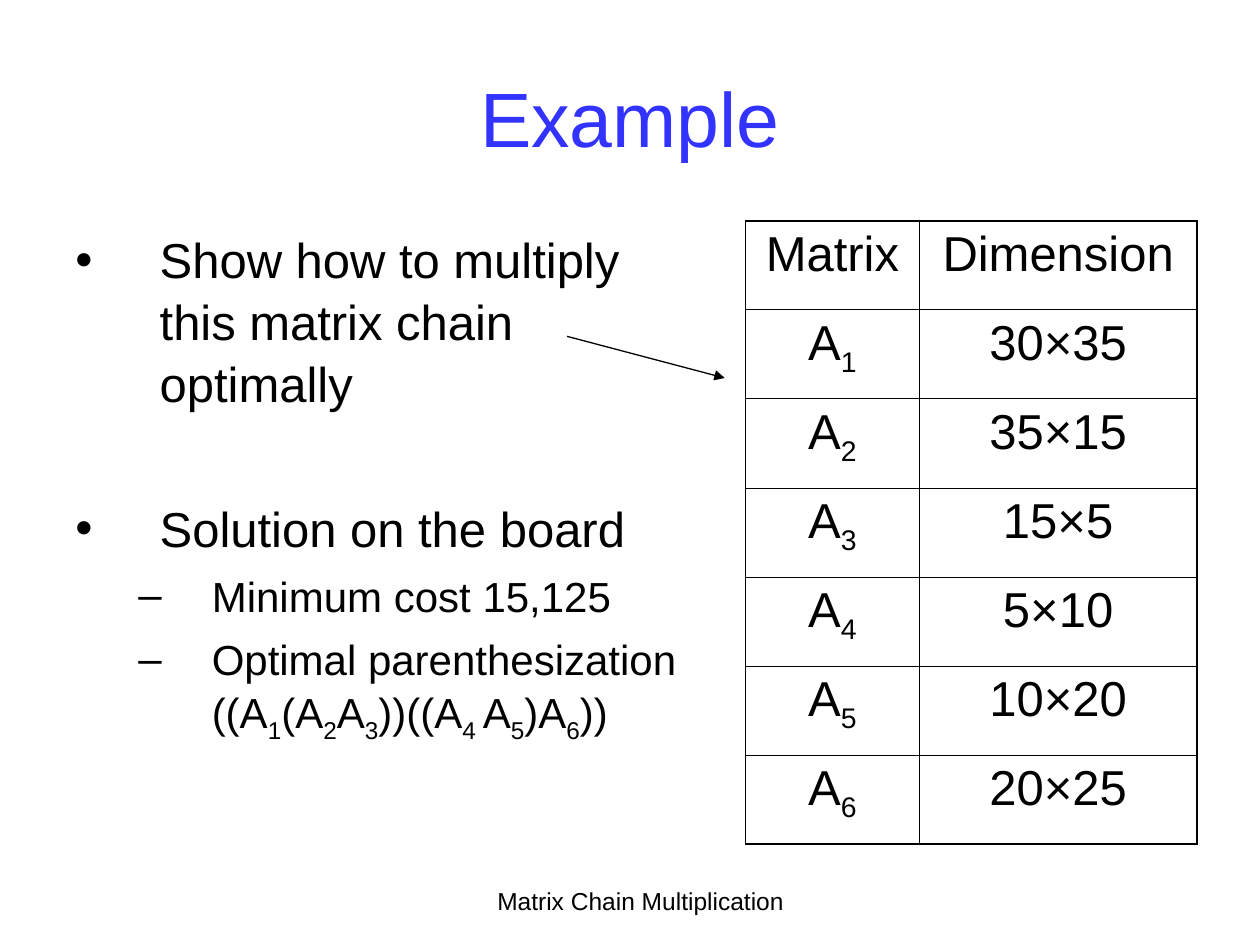
import pptx
import pptx.dml.color
import pptx.enum.shapes
import pptx.enum.text
import pptx.oxml
import pptx.oxml.ns
import pptx.util
from pptx.util import Cm, Pt

ANCHOR = pptx.enum.text.MSO_ANCHOR
ALIGN = pptx.enum.text.PP_ALIGN
BLACK = "000000"
BLUE = "3333FF"
DIMENSIONS = ["30×35", "35×15", "15×5", "5×10", "10×20", "20×25"]


def rgb(value):
    return pptx.dml.color.RGBColor.from_string(value)


def sub_element(parent, tag, **attributes):
    element = pptx.oxml.ns.qn(tag)
    child = parent.makeelement(element, attributes)
    parent.append(child)
    return child


def write(paragraph, text, size=28, color=BLACK, align=ALIGN.LEFT, before=0, spacing=None):
    """Fill a paragraph; every second part between bars is a subscript."""
    paragraph.alignment = align
    paragraph.space_before = Pt(before)
    if spacing:
        paragraph.line_spacing = spacing
    for index, part in enumerate(text.split("|")):
        if not part:
            continue
        run = paragraph.add_run()
        run.text = part
        run.font.size = Pt(size)
        run.font.name = "Arial"
        run.font.color.rgb = rgb(color)
        if index % 2:
            run.font._element.set("baseline", "-25000")


def set_bullet(paragraph, symbol, indent, hanging):
    properties = paragraph._p.get_or_add_pPr()
    properties.set("marL", str(Cm(indent)))
    properties.set("indent", str(-Cm(hanging)))
    bullet_color = sub_element(properties, "a:buClr")
    sub_element(bullet_color, "a:srgbClr", val=BLACK)
    sub_element(properties, "a:buFont", typeface="Arial")
    sub_element(properties, "a:buChar", char=symbol)


def add_text_frame(slide, left, top, width, height, anchor=ANCHOR.TOP):
    frame = slide.shapes.add_textbox(Cm(left), Cm(top), Cm(width), Cm(height)).text_frame
    frame.word_wrap = True
    frame.vertical_anchor = anchor
    return frame


def add_title(slide, left, top, width, height):
    frame = add_text_frame(slide, left, top, width, height, ANCHOR.MIDDLE)
    write(frame.paragraphs[0], "Example", size=44, color=BLUE, align=ALIGN.CENTER)


def add_footer(slide, left, top, width, height):
    frame = add_text_frame(slide, left, top, width, height)
    write(frame.paragraphs[0], "Matrix Chain Multiplication", size=14, align=ALIGN.CENTER)


def add_tasks(slide, left, top, width, height):
    frame = add_text_frame(slide, left, top, width, height)
    main = ("•", 1.7, 1.7, 28)
    detail = ("–", 2.75, 1.48, 24)
    tasks = [
        (main, 7, "Show how to multiply this matrix chain optimally"),
        (main, 47.5, "Solution on the board"),
        (detail, 6, "Minimum cost 15,125"),
        (detail, 6, "Optimal parenthesization ((A|1|(A|2|A|3|))((A|4 |A|5|)A|6|))"),
    ]
    for index, ((symbol, indent, hanging, size), before, text) in enumerate(tasks):
        paragraph = frame.add_paragraph() if index else frame.paragraphs[0]
        paragraph.level = int(size == 24)
        write(paragraph, text, size=size, before=before, spacing=1.05)
        set_bullet(paragraph, symbol, indent, hanging)


def set_borders(cell, outer_sides):
    properties = cell._tc.get_or_add_tcPr()
    for position, side in enumerate(["L", "R", "T", "B"]):
        width = Pt(1.08 if side in outer_sides else 0.45)
        border = pptx.oxml.parse_xml(
            f'<a:ln{side} {pptx.oxml.ns.nsdecls("a")} w="{width}"><a:solidFill>'
            f'<a:srgbClr val="{BLACK}"/></a:solidFill></a:ln{side}>')
        properties.insert(position, border)


def add_matrix_table(slide, left, top, width, height):
    rows = [("Matrix", "Dimension")]
    rows += [(f"A|{number}", size) for number, size in enumerate(DIMENSIONS, 1)]
    table = slide.shapes.add_table(
        len(rows), 2, Cm(left), Cm(top), Cm(width), Cm(height)).table
    table.first_row = table.horz_banding = False
    matrix_width = 3.5
    table.columns[0].width = Cm(matrix_width)
    table.columns[1].width = Cm(width - matrix_width)
    for row_index, row in enumerate(rows):
        table.rows[row_index].height = Cm(height / len(rows))
        for column_index, text in enumerate(row):
            cell = table.cell(row_index, column_index)
            cell.fill.background()
            write(cell.text_frame.paragraphs[0], text, align=ALIGN.CENTER, before=7)
            outer_sides = "LR"[column_index]
            if row_index == 0:
                outer_sides += "T"
            if row_index == len(rows) - 1:
                outer_sides += "B"
            set_borders(cell, outer_sides)


def add_arrow(slide, left, top, width, height):
    arrow = slide.shapes.add_connector(
        pptx.enum.shapes.MSO_CONNECTOR.STRAIGHT,
        Cm(left), Cm(top), Cm(left + width), Cm(top + height))
    arrow.line.color.rgb = rgb(BLACK)
    arrow.line.width = Pt(0.75)
    sub_element(arrow.line._get_or_add_ln(), "a:tailEnd", type="triangle", w="med", len="med")
    sub_element(arrow._element.spPr, "a:effectLst")


def main():
    presentation = pptx.Presentation()
    presentation.slide_width = Cm(25.4)
    presentation.slide_height = Cm(19.05)
    slide = presentation.slides.add_slide(presentation.slide_layouts[6])
    slide.background.fill.solid()
    slide.background.fill.fore_color.rgb = rgb("FFFFFF")
    add_title(slide, 1.27, 0.76, 22.86, 3.18)
    add_tasks(slide, 1.27, 4.45, 13.13, 12.57)
    add_matrix_table(slide, 15.03, 4.45, 9.1, 12.57)
    add_arrow(slide, 11.43, 6.78, 3.18, 0.84)
    add_footer(slide, 8.89, 17.73, 8.05, 1.32)
    presentation.save("out.pptx")


if __name__ == "__main__":
    main()
